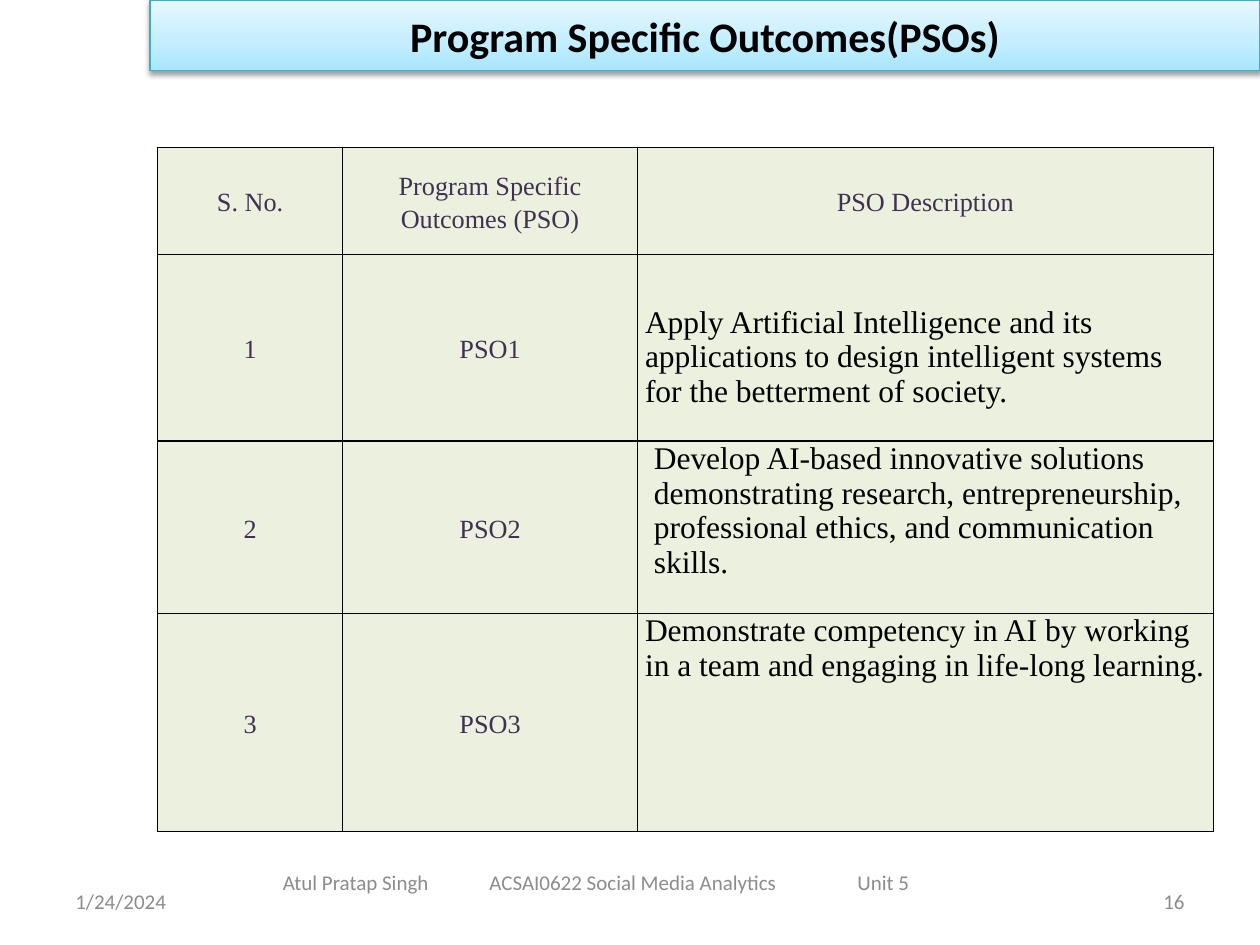
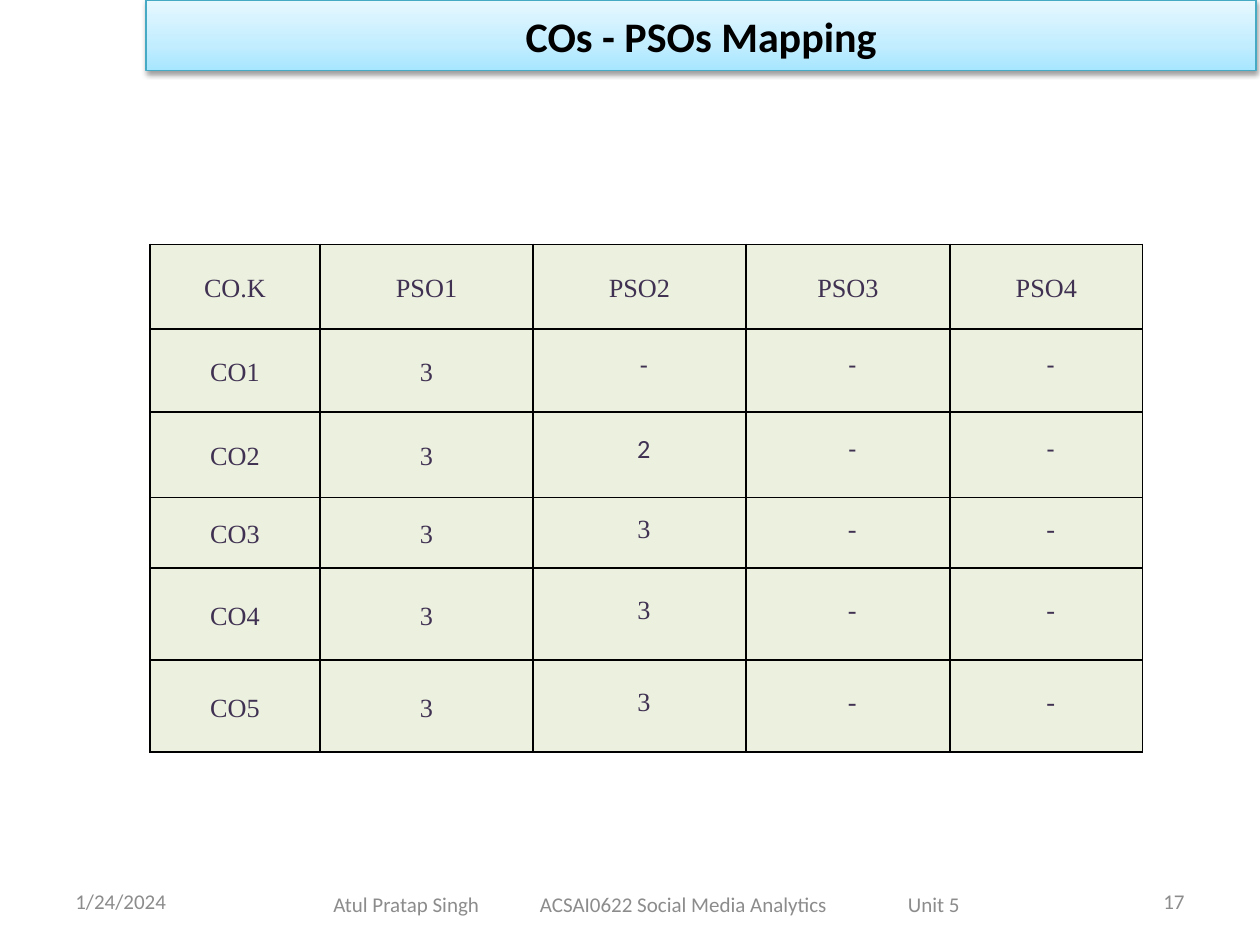
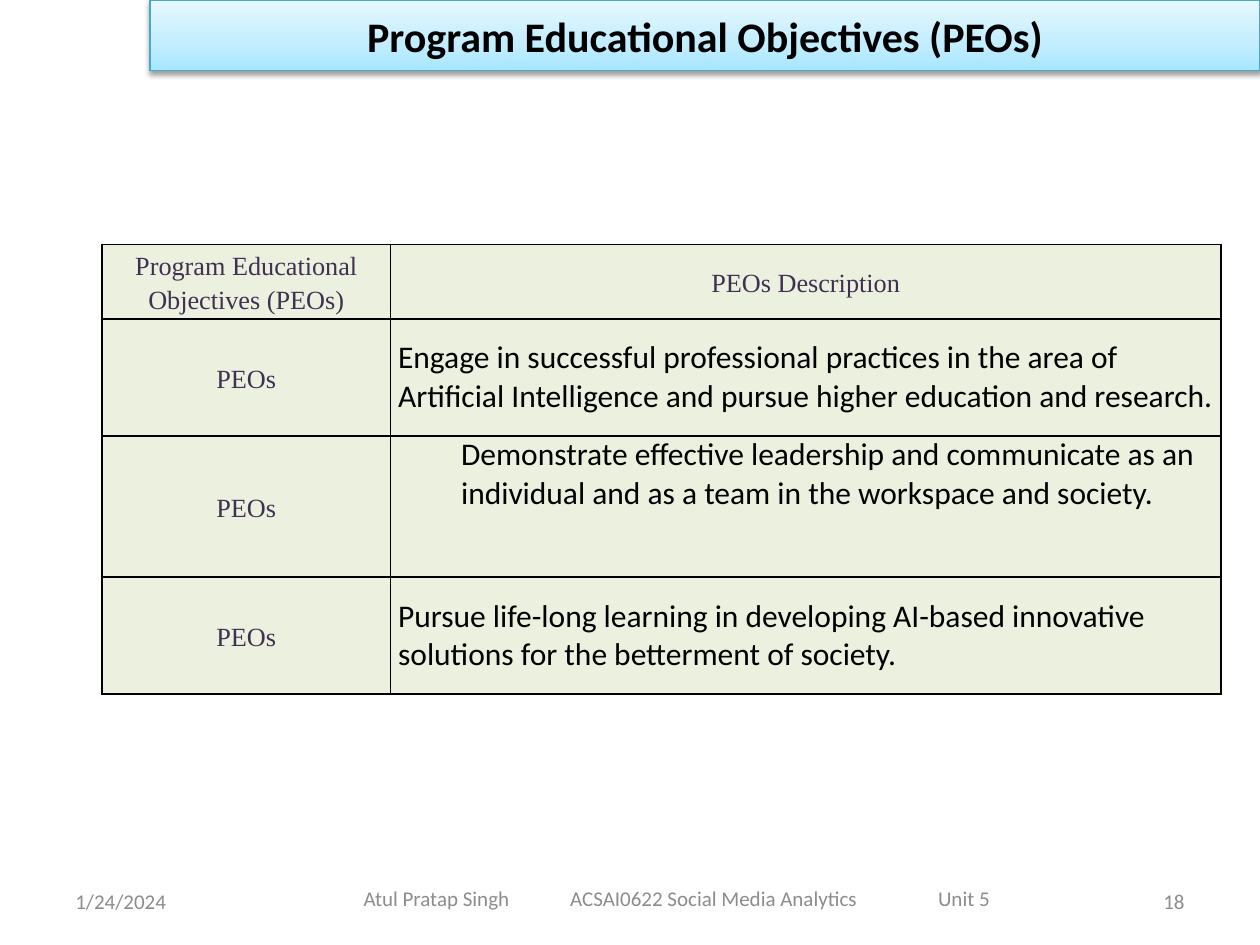
from lxml import etree
from pptx import Presentation
from pptx.dml.color import RGBColor
from pptx.enum.shapes import MSO_SHAPE
from pptx.enum.text import MSO_ANCHOR, PP_ALIGN
from pptx.oxml import parse_xml
from pptx.oxml.ns import nsdecls, qn
from pptx.util import Inches, Pt

LEFT, CENTER, RIGHT = PP_ALIGN.LEFT, PP_ALIGN.CENTER, PP_ALIGN.RIGHT
TOP, MIDDLE = MSO_ANCHOR.TOP, MSO_ANCHOR.MIDDLE
RECTANGLE = MSO_SHAPE.RECTANGLE

COLORS = {
    "black": "000000",
    "grey": "8C8C8C",
    "purple": "403152",
    "cell": "EBF1DE",
    "band_line": "46AAC5",
    "band_bottom": "A7E6FF",
    "band_middle": "C1EDFF",
    "band_top": "E7F8FF",
}
SANS, SERIF = "Calibri", "Times New Roman"
DATE = "1/24/2024"
FOOTER = "Atul Pratap Singh\tACSAI0622 Social Media Analytics\tUnit 5"
FOOTER_TABS = (1.64, 4.56)
FOOTER_WIDTH = 4.97
FOOTER_FORMAT = {"size": 12, "color": "grey"}


def rgb(name):
    return RGBColor.from_string(COLORS[name])


def add_text(tf, text, font=SANS, size=18, color="black", bold=False, align=LEFT,
             spacing=None, indent=0, tabs=(), anchor=MIDDLE):
    tf.word_wrap = True
    tf.vertical_anchor = anchor
    for i, line in enumerate(text.split("\n")):
        p = tf.add_paragraph() if i else tf.paragraphs[0]
        p.alignment = align
        if spacing:
            p.line_spacing = spacing
        pPr = p._p.get_or_add_pPr()
        if indent:
            pPr.set("marL", str(Inches(indent)))
            pPr.set("indent", "0")
        if tabs:
            tab_list = etree.SubElement(pPr, qn("a:tabLst"))
            for pos in tabs:
                etree.SubElement(tab_list, qn("a:tab"), pos=str(Inches(pos)), algn="l")
        r = p.add_run()
        r.text = line
        r.font.name = font
        r.font.size = Pt(size)
        r.font.bold = bold
        r.font.color.rgb = rgb(color)


def set_margins(frame, left, top, right, bottom):
    frame.margin_left, frame.margin_top = Inches(left), Inches(top)
    frame.margin_right, frame.margin_bottom = Inches(right), Inches(bottom)


def add_box(s, box, text, **fmt):
    tf = s.shapes.add_textbox(*map(Inches, box)).text_frame
    add_text(tf, text, **fmt)
    return tf


def add_title_band(s, title, left):
    sp = s.shapes.add_shape(RECTANGLE, Inches(left), 0, Inches(8.81), Inches(0.56))
    sp.line.color.rgb = rgb("band_line")
    sp.line.width = Pt(0.75)
    sp.fill.gradient()
    stops = ((0, "band_bottom"), (35, "band_middle"), (100, "band_top"))
    gs = "".join(f'<a:gs pos="{pos * 1000}"><a:srgbClr val="{COLORS[name]}"/></a:gs>'
                 for pos, name in stops)
    gradient = parse_xml(f'<a:gradFill {nsdecls("a")} rotWithShape="1"><a:gsLst>{gs}</a:gsLst>'
                         '<a:lin ang="16200000" scaled="0"/></a:gradFill>')
    spPr = sp._element.spPr
    spPr.replace(spPr.find(qn("a:gradFill")), gradient)
    sp.shadow.inherit = False
    spPr.find(qn("a:effectLst")).append(parse_xml(
        f'<a:outerShdw {nsdecls("a")} blurRad="{Pt(3.1)}" dist="{Pt(1.6)}" dir="5400000" '
        f'rotWithShape="0"><a:srgbClr val="{COLORS["black"]}"><a:alpha val="38000"/>'
        '</a:srgbClr></a:outerShdw>'))
    set_margins(sp.text_frame, 0.07, 0.04, 0.07, 0.04)
    add_text(sp.text_frame, title, size=24, bold=True, align=CENTER)


def add_footers(s, number, footer_box):
    add_box(s, (0.5, 6.95, 2.33, 0.4), DATE, **FOOTER_FORMAT)
    tf = add_box(s, footer_box, FOOTER, tabs=FOOTER_TABS, **FOOTER_FORMAT)
    set_margins(tf, (footer_box[2] - FOOTER_WIDTH) / 2, 0.05, 0, 0.05)
    add_box(s, (7.17, 6.95, 2.33, 0.4), str(number), align=RIGHT, **FOOTER_FORMAT)


def add_borders(cell):
    tcPr = cell._tc.get_or_add_tcPr()
    for side in ("lnL", "lnR", "lnT", "lnB"):
        ln = etree.SubElement(tcPr, qn(f"a:{side}"), w=str(Pt(1)))
        fill = etree.SubElement(ln, qn("a:solidFill"))
        etree.SubElement(fill, qn("a:srgbClr"), val=COLORS["black"])


def label(text):
    return {"text": text, "font": SERIF, "size": 15, "color": "purple",
            "align": CENTER, "spacing": 1.15}


def score(text, font=SERIF):
    return {**label(text), "font": font, "spacing": Pt(12.3), "indent": 0.07}


def description(text, **fmt):
    return {"text": text, **fmt}


def add_grid(s, left, top, widths, heights, rows):
    table = s.shapes.add_table(len(heights), len(widths), Inches(left), Inches(top),
                               Inches(sum(widths)), Inches(sum(heights))).table
    table.first_row = table.horz_banding = False
    for column, width in zip(table.columns, widths):
        column.width = Inches(width)
    for row, height, contents in zip(table.rows, heights, rows):
        row.height = Inches(height)
        for cell, content in zip(row.cells, contents):
            fmt = dict(content)
            set_margins(cell, 0.06, fmt.pop("top_margin", 0), 0.06, 0)
            add_borders(cell)
            cell.fill.solid()
            cell.fill.fore_color.rgb = rgb("cell")
            cell.vertical_anchor = fmt.get("anchor", MIDDLE)
            add_text(cell.text_frame, **fmt)


def add_slide(prs, title, number, footer_box, band_left=1.19):
    s = prs.slides.add_slide(prs.slide_layouts[6])
    add_footers(s, number, footer_box)
    add_title_band(s, title, band_left)
    return s


def add_outcomes(prs):
    s = add_slide(prs, "Program Specific Outcomes(PSOs)", 16, (2, 6.75, 5.46, 0.5))
    outcomes = [
        description("Apply Artificial Intelligence and its applications to design intelligent "
                    "systems for the betterment of society.",
                    font=SERIF, anchor=TOP, top_margin=0.4),
        description("Develop AI-based innovative solutions demonstrating research, "
                    "entrepreneurship, professional ethics, and communication skills.",
                    font=SERIF, anchor=TOP, indent=0.07),
        description("Demonstrate competency in AI by working in a team and engaging in "
                    "life-long learning.", font=SERIF, anchor=TOP),
    ]
    header = ("S. No.", "Program Specific\nOutcomes (PSO)", "PSO Description")
    rows = [[label(text) for text in header]]
    rows += [[label(str(i)), label(f"PSO{i}"), outcome]
             for i, outcome in enumerate(outcomes, 1)]
    add_grid(s, 1.25, 1.17, (1.47, 2.34, 4.57), (0.85, 1.48, 1.37, 1.73), rows)


def add_mapping(prs):
    s = add_slide(prs, "COs - PSOs Mapping", 17, (2.42, 6.99, 5.42, 0.37), band_left=1.16)
    rows = [[label(text) for text in ("CO.K", "PSO1", "PSO2", "PSO3", "PSO4")]]
    for i, pso2 in enumerate("-2333", 1):
        font = SANS if i <= 2 else SERIF
        rows.append([label(f"CO{i}"), label("3")] + [score(v, font) for v in (pso2, "-", "-")])
    add_grid(s, 1.19, 1.94, (1.35, 1.69, 1.69, 1.62, 1.53),
             (0.67, 0.66, 0.68, 0.56, 0.73, 0.73), rows)


def add_objectives(prs):
    s = add_slide(prs, "Program Educational Objectives (PEOs)", 18, (2.33, 6.92, 6.08, 0.42))
    objectives = [
        description("Engage in successful professional practices in the area of Artificial "
                    "Intelligence and pursue higher education and research."),
        description("Demonstrate effective leadership and communicate as an individual and "
                    "as a team in the workspace and society.", anchor=TOP, indent=0.5),
        description("Pursue life-long learning in developing AI-based innovative solutions "
                    "for the betterment of society."),
    ]
    rows = [[label("Program Educational Objectives (PEOs)"), label("PEOs Description")]]
    rows += [[label("PEOs"), objective] for objective in objectives]
    add_grid(s, 0.81, 1.94, (2.29, 6.59), (0.59, 0.93, 1.12, 0.93), rows)


def main():
    prs = Presentation()
    prs.slide_width, prs.slide_height = Inches(10), Inches(7.5)
    add_outcomes(prs)
    add_mapping(prs)
    add_objectives(prs)
    prs.save("out.pptx")


if __name__ == "__main__":
    main()
